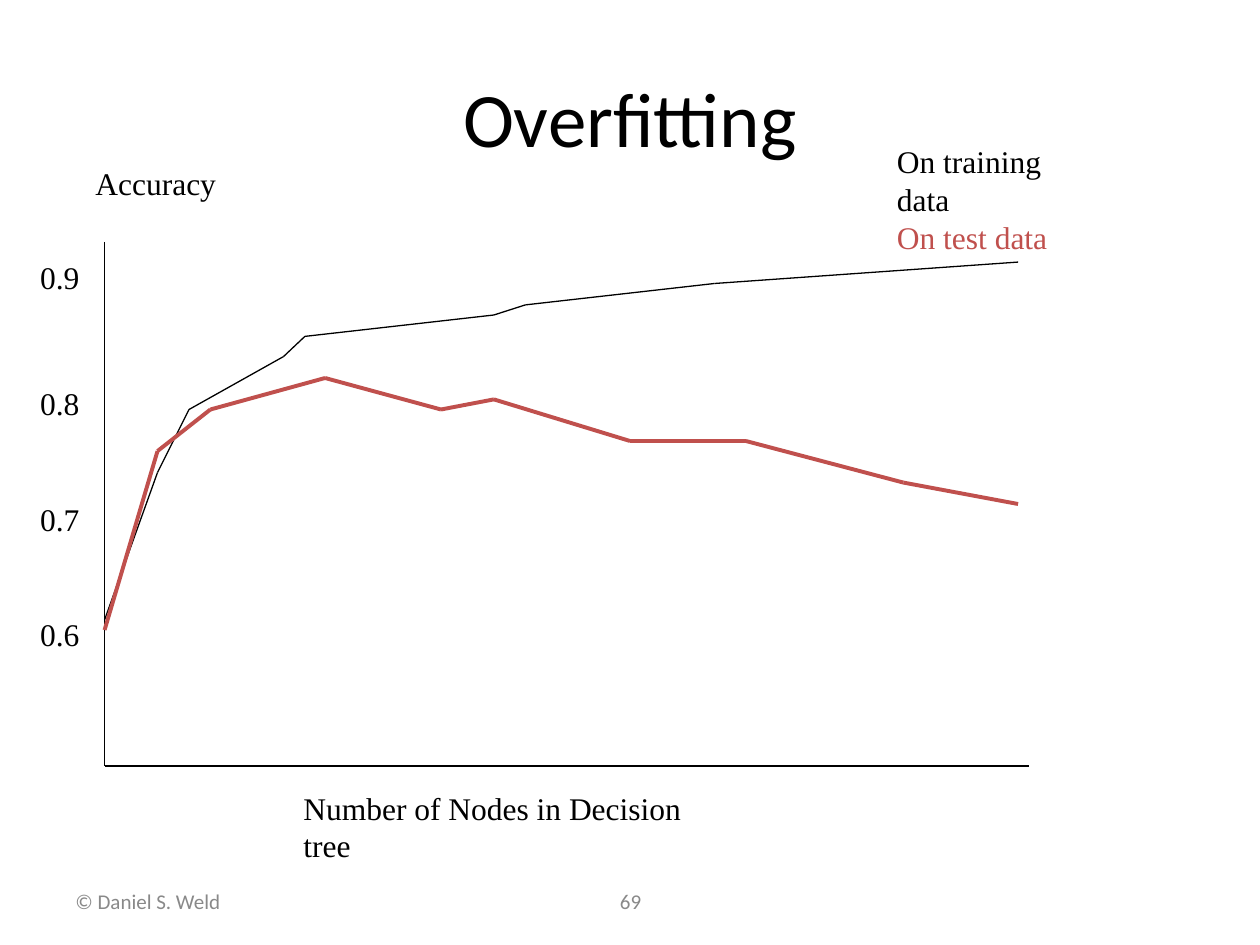
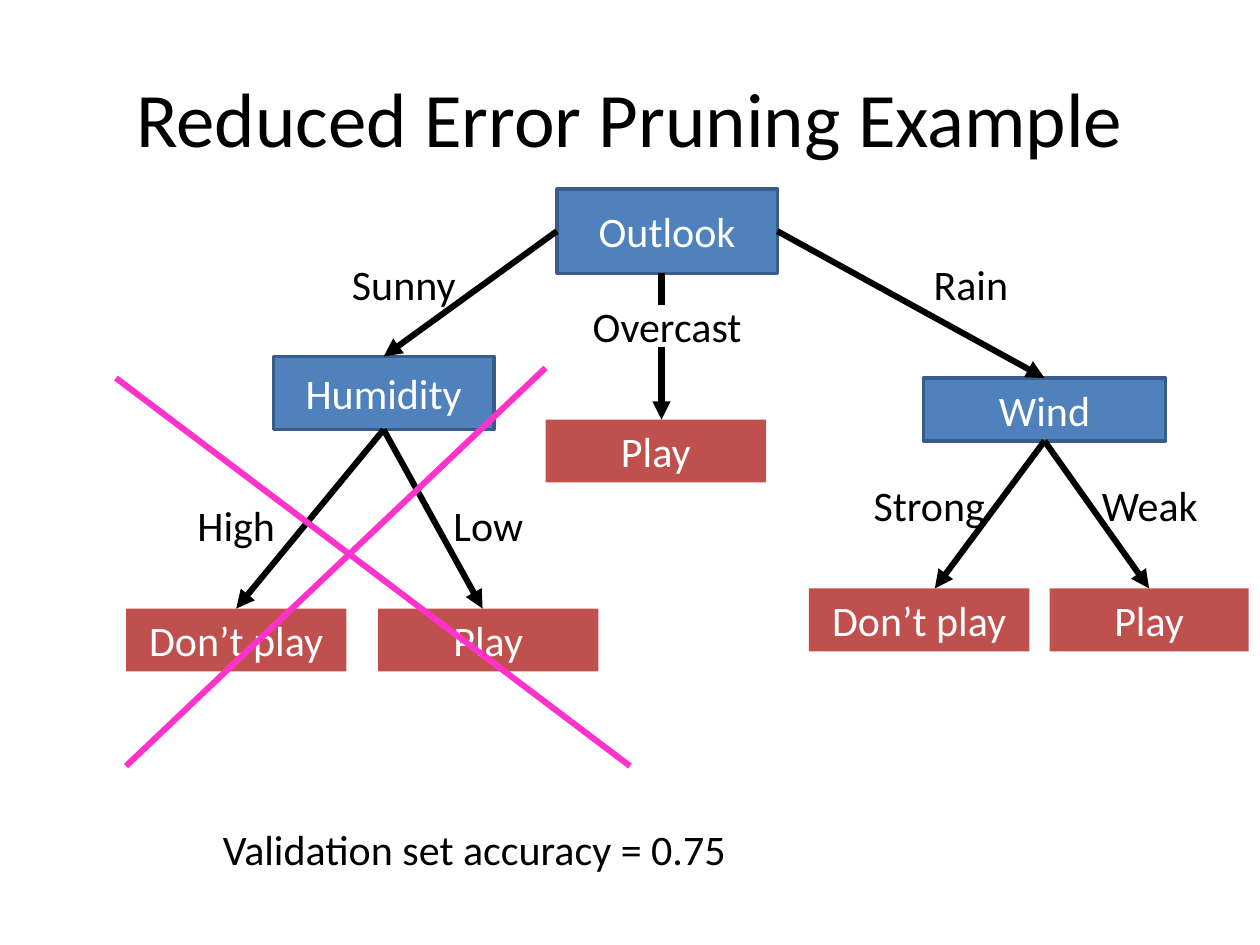
import pptx
import pptx.util
import pptx.dml.color
import pptx.enum.shapes
import pptx.enum.text
import pptx.oxml
from lxml import etree

Inches, Pt = pptx.util.Inches, pptx.util.Pt
RGBColor = pptx.dml.color.RGBColor
ANCHOR = pptx.enum.text.MSO_ANCHOR
ALIGN = pptx.enum.text.PP_ALIGN
FIT = pptx.enum.text.MSO_AUTO_SIZE.SHAPE_TO_FIT_TEXT
RECT = pptx.enum.shapes.MSO_SHAPE.RECTANGLE
STRAIGHT = pptx.enum.shapes.MSO_CONNECTOR.STRAIGHT

BLACK = RGBColor(0x00, 0x00, 0x00)
WHITE = RGBColor(0xFF, 0xFF, 0xFF)
GREY = RGBColor(0x89, 0x89, 0x89)
BLUE = RGBColor(0x4F, 0x81, 0xBD)
DARK_BLUE = RGBColor(0x38, 0x5D, 0x8A)
RED = RGBColor(0xC0, 0x50, 0x4D)
PINK = RGBColor(0xFF, 0x33, 0xCC)

MIDDLE = {"vertical_anchor": ANCHOR.MIDDLE, "word_wrap": True}
FITTED = {"vertical_anchor": ANCHOR.TOP, "word_wrap": False, "auto_size": FIT}
TITLE = {"name": "Calibri", "size": Pt(44)}
FOOTER = {"name": "Calibri", "size": Pt(12)}
CHART = {"name": "Times New Roman", "size": Pt(18)}
TREE = {"name": "Calibri", "size": Pt(24)}


def add_text(s, at, lines, font, frame=MIDDLE, align=ALIGN.CENTER, fill=None):
    """Add a text box, or a rectangle if fill is given; lines are (text, colour) pairs."""
    box = [Inches(v) for v in at]
    if fill is None:
        sp = s.shapes.add_textbox(*box)
    else:
        sp = s.shapes.add_shape(RECT, *box)
        sp.shadow.inherit = False
        sp.fill.solid()
        sp.fill.fore_color.rgb = fill
        sp.line.fill.background()
    tf = sp.text_frame
    for key, value in frame.items():
        setattr(tf, key, value)
    for i, (text, colour) in enumerate(lines):
        p = tf.add_paragraph() if i else tf.paragraphs[0]
        p.alignment = align
        r = p.add_run()
        r.text = text
        for key, value in font.items():
            setattr(r.font, key, value)
        r.font.color.rgb = colour
    return sp


def add_line(s, start, end, colour, width, arrow=False):
    c = s.shapes.add_connector(STRAIGHT, *[Inches(v) for v in (*start, *end)])
    c.line.color.rgb = colour
    c.line.width = Pt(width)
    if arrow:
        ln = c.line._get_or_add_ln()
        etree.SubElement(ln, pptx.oxml.ns.qn("a:tailEnd"), type="triangle")
    etree.SubElement(c._element.spPr, pptx.oxml.ns.qn("a:effectLst"))
    return c


prs = pptx.Presentation()
prs.slide_width, prs.slide_height = Inches(10), Inches(7.5)
slides = []
for title in ("Overfitting", "Reduced Error Pruning Example"):
    s = prs.slides.add_slide(prs.slide_layouts[6])
    add_text(s, (0.5, 0.3, 9, 1.25), [(title, BLACK)], TITLE)
    slides.append(s)

# Slide 1: accuracy curves
s = slides[0]
add_text(s, (0.5, 6.95, 2.33, 0.4), [("© Daniel S. Weld", GREY)], FOOTER, align=ALIGN.LEFT)
add_text(s, (3.42, 6.95, 3.17, 0.4), [("69", GREY)], FOOTER)

labels = [
    ((2.31, 6.21, 3.63, 0.4), [("Number of Nodes in Decision tree", BLACK)]),
    ((0.66, 1.25, 1.16, 0.4), [("Accuracy", BLACK)]),
    ((7.02, 1.08, 1.82, 0.7), [("On training data", BLACK), ("On test data", RED)]),
]
for tick, top in (("0.9", 2), ("0.8", 3), ("0.7", 3.92), ("0.6", 4.83)):
    labels.append(((0.22, top, 0.51, 0.4), [(tick, BLACK)]))
for at, lines in labels:
    add_text(s, at, lines, CHART, FITTED, ALIGN.LEFT)

axes = [(0.83, 1.92), (0.83, 6.08), (8.17, 6.08)]
training = [(0.83, 4.92), (1.25, 3.75), (1.5, 3.25), (2.25, 2.83), (2.42, 2.67),
            (3.92, 2.5), (4.17, 2.42), (5.67, 2.25), (8.08, 2.08)]
test = [(0.83, 5), (1.25, 3.58), (1.67, 3.25), (2.58, 3), (3.5, 3.25),
        (3.92, 3.17), (5, 3.5), (5.92, 3.5), (7.17, 3.83), (8.08, 4)]
for points, colour, width in ((axes, BLACK, 0.75), (training, BLACK, 0.75), (test, RED, 2.25)):
    for start, end in zip(points, points[1:]):
        add_line(s, start, end, colour, width)

# Slide 2: decision tree with a pruned branch
s = slides[1]
tests = {}
for name, at in (("Outlook", (4.42, 1.5, 1.75, 0.67)),
                 ("Humidity", (2.17, 2.83, 1.75, 0.58)),
                 ("Wind", (7.33, 3, 1.92, 0.5))):
    sp = add_text(s, at, [(name, WHITE)], TREE, fill=BLUE)
    sp.line.color.rgb = DARK_BLUE
    sp.line.width = Pt(2)
    tests[name] = sp

leaves = []
for text, left, top, width in (("Don’t play", 1, 4.83, 1.75), ("Play", 3, 4.83, 1.75),
                               ("Play", 4.33, 3.33, 1.75), ("Don’t play", 6.42, 4.67, 1.75),
                               ("Play", 8.33, 4.67, 1.58)):
    leaves.append(add_text(s, (left, top, width, 0.5), [(text, WHITE)], TREE, fill=RED))

for text, left, top, width in (("Sunny", 2.58, 1.92, 1.25), ("Rain", 6.83, 1.92, 1.75),
                               ("Overcast", 4.42, 2.25, 1.75), ("High", 1, 3.83, 1.75),
                               ("Low", 3, 3.83, 1.75), ("Strong", 6.5, 3.67, 1.75),
                               ("Weak", 8.25, 3.67, 1.75)):
    add_text(s, (left, top, width, 0.67), [(text, BLACK)], TREE)

# Parent, its side, start, end, and the child when the end meets its top middle
branches = [
    ("Outlook", 1, (4.42, 1.83), (3.04, 2.83), tests["Humidity"]),
    ("Outlook", 3, (6.17, 1.83), (8.29, 3), tests["Wind"]),
    ("Humidity", 2, (3.04, 3.42), (1.87, 4.83), leaves[0]),
    ("Humidity", 2, (3.04, 3.42), (3.83, 4.83), None),
    ("Wind", 2, (8.29, 3.5), (7.42, 4.67), None),
    ("Wind", 2, (8.29, 3.5), (9.12, 4.67), leaves[4]),
]
for parent, side, start, end, child in branches:
    c = add_line(s, start, end, BLACK, 3.5, arrow=True)
    c.begin_connect(tests[parent], side)
    if child is not None:
        c.end_connect(child, 0)
add_line(s, (5.25, 2.17), (5.25, 2.42), BLACK, 3.5)
add_line(s, (5.25, 2.75), (5.25, 3.33), BLACK, 3.5, arrow=True)

for start, end in (((0.92, 3), (5, 6.08)), ((1, 6.08), (4.33, 2.92))):
    add_line(s, start, end, PINK, 3.5)
add_text(s, (1.67, 6.49, 4.33, 0.5), [("Validation set accuracy = 0.75", BLACK)], TREE,
         {**FITTED, "word_wrap": True}, ALIGN.LEFT)

prs.save("out.pptx")
